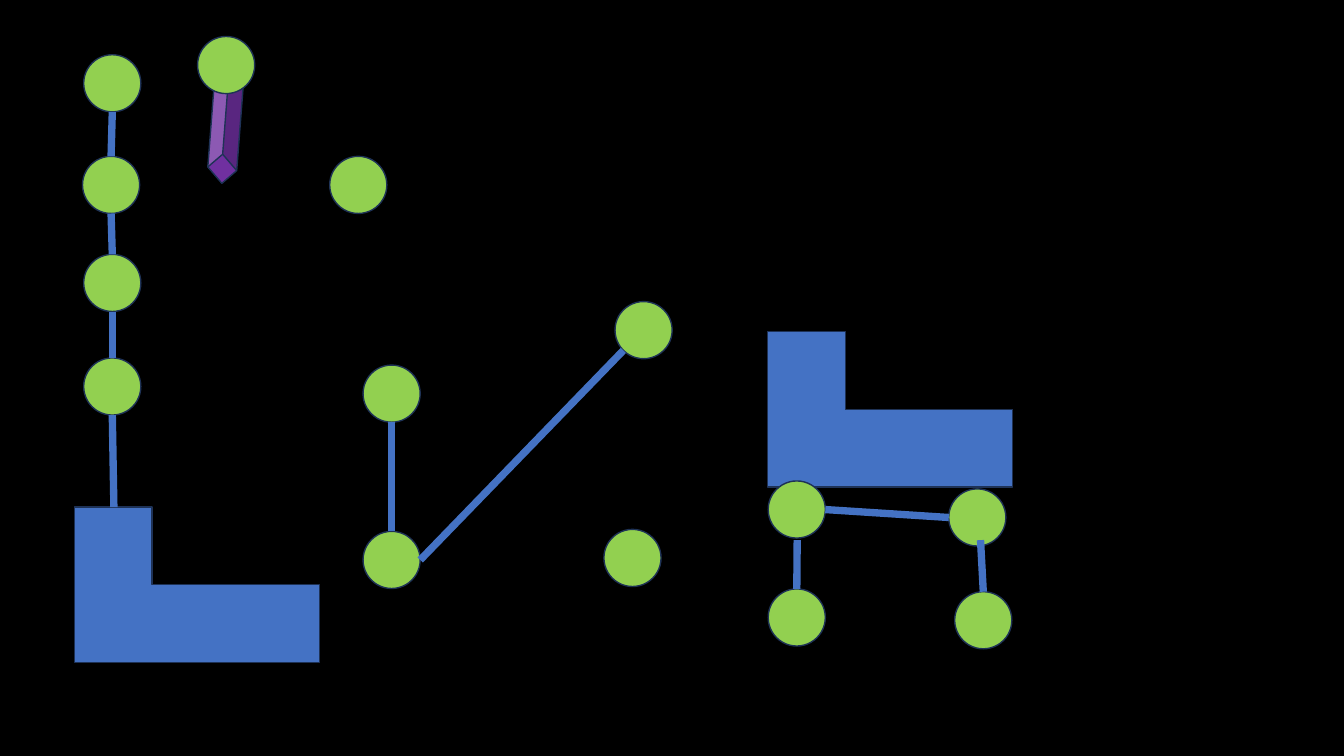
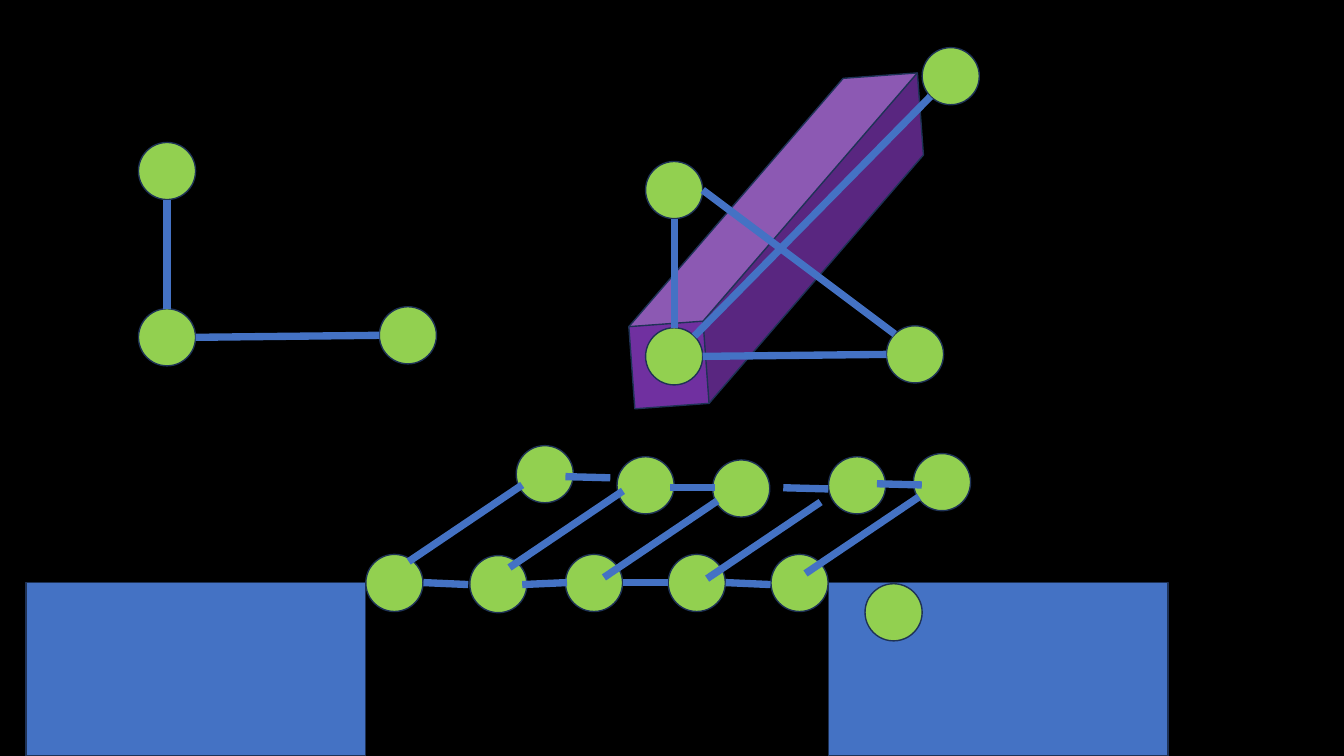
"""Two slides of ball-and-stick constructions on black."""
from dataclasses import dataclass
from typing import Any

from lxml import etree
from pptx import Presentation
from pptx import util as u
from pptx.dml import color
from pptx.enum import shapes
from pptx.oxml import ns


@dataclass(frozen=True)
class Theme:
    """Colours, line widths in points and node radius in centimetres."""
    background: str = "000000"
    node: str = "92D050"
    block: str = "4472C4"
    beam: str = "7030A0"
    outline: str = "1E3256"
    outline_width: float = 1
    link_width: float = 5.25
    radius: float = 0.72


THEME = Theme()
TOP, RIGHT, BOTTOM, LEFT = (0, -1), (1, 0), (0, 1), (-1, 0)
DIAGONAL = 0.71
TOP_LEFT, TOP_RIGHT = (-DIAGONAL, -DIAGONAL), (DIAGONAL, -DIAGONAL)
BOTTOM_LEFT = (-DIAGONAL, DIAGONAL)
CORNER_SIZE = (6.17, 3.91)


def rim(centre, side):
    """Return the point on the edge of a node in the given direction."""
    return tuple(c + THEME.radius * s for c, s in zip(centre, side))


@dataclass
class Region:
    """Draw parts in centimetres relative to a left and top on a slide."""
    slide: Any
    left: float
    top: float

    def place(self, point):
        """Turn a local point into slide lengths."""
        return u.Cm(self.left + point[0]), u.Cm(self.top + point[1])

    def solid(self, kind, corner, size, fill):
        """Add an outlined preset shape."""
        shape = self.slide.shapes.add_shape(
            kind, *self.place(corner), u.Cm(size[0]), u.Cm(size[1]))
        shape.shadow.inherit = False
        shape.fill.solid()
        shape.fill.fore_color.rgb = color.RGBColor.from_string(fill)
        shape.line.color.rgb = color.RGBColor.from_string(THEME.outline)
        shape.line.width = u.Pt(THEME.outline_width)
        return shape

    def nodes(self, *centres):
        """Add a round node around each centre."""
        for x, y in centres:
            self.solid(shapes.MSO_SHAPE.OVAL,
                       (x - THEME.radius, y - THEME.radius),
                       (2 * THEME.radius, 2 * THEME.radius), THEME.node)

    def link(self, start, end):
        """Add a thick straight link."""
        connector = self.slide.shapes.add_connector(
            shapes.MSO_CONNECTOR.STRAIGHT, *self.place(start), *self.place(end))
        connector.line.color.rgb = color.RGBColor.from_string(THEME.block)
        connector.line.width = u.Pt(THEME.link_width)
        properties = connector._element.spPr
        etree.SubElement(properties, ns.qn("a:effectLst"))

    def corner(self, position):
        """Add an L-shaped block."""
        self.solid(shapes.MSO_SHAPE.CORNER, position, CORNER_SIZE, THEME.block)

    def beam(self, position, size, rotation):
        """Add a long turned cuboid."""
        shape = self.solid(shapes.MSO_SHAPE.CUBE, position, size, THEME.beam)
        shape.adjustments[0] = 0.757
        shape.rotation = rotation


def draw_tower(region):
    """Draw a chain of four nodes standing on a corner block."""
    centres = [(0.95, 0.73), (0.92, 3.29), (0.95, 5.76), (0.95, 8.37)]
    region.nodes(*centres)
    region.corner((0, 11.41))
    for upper, lower in zip(centres, centres[1:]):
        region.link(rim(upper, BOTTOM), rim(lower, TOP))
    region.link(rim(centres[-1], BOTTOM), (0.99, 11.41))


def draw_pendulum(region):
    """Draw a node with a beam hanging from it."""
    region.beam((0, 1.22), (2.03, 2.08), 319.4)
    region.nodes((1.03, 0.73))


def draw_wagon(region):
    """Draw a corner block carried by four linked nodes."""
    front, back = (0.73, 4.48), (5.28, 4.68)
    front_wheel, back_wheel = (0.73, 7.2), (5.43, 7.27)
    region.corner((0, 0))
    region.nodes(front, back, front_wheel, back_wheel)
    region.link((0.74, 5.25), rim(front_wheel, TOP))
    region.link((5.36, 5.25), rim(back_wheel, TOP))
    region.link(rim(back, LEFT), rim(front, RIGHT))


def draw_frame(region, floor=True, far=None, brace=False):
    """Draw three nodes at right angles with optional extra links."""
    upper, base, side = (0.73, 0.73), (0.73, 4.92), (6.8, 4.87)
    region.nodes(upper, base, side)
    region.link(rim(upper, BOTTOM), rim(base, TOP))
    if floor:
        region.link(rim(base, RIGHT), rim(side, LEFT))
    if brace:
        region.link(rim(upper, RIGHT), rim(side, TOP_LEFT))
    if far:
        region.nodes(far)
        start = TOP_RIGHT if floor else RIGHT
        region.link(rim(base, start), rim(far, BOTTOM_LEFT))


def draw_braced_beam(region):
    """Draw a braced frame in front of a long beam."""
    region.beam((-0.56, -1.95), (7.72, 7.92), 355.8)
    draw_frame(region, far=(7.7, -2.14), brace=True)


def draw_bridge(region):
    """Draw two banks joined by a double row of linked nodes."""
    for left in (0, 20.22):
        region.solid(shapes.MSO_SHAPE.RECTANGLE, (left, 3.45), (8.56, 4.37), THEME.block)
    region.nodes((9.28, 3.46), (11.9, 3.49), (14.31, 3.46), (16.9, 3.46), (19.49, 3.46))
    region.nodes((13.07, 0.72), (15.61, 1), (18.02, 1.08), (20.94, 1), (23.08, 0.92))
    region.nodes((21.86, 4.2))
    spans = [(10.01, 3.45, 0.05), (12.5, 3.5, -0.05), (15.04, 3.45, 0),
             (17.63, 3.45, 0.05), (13.59, 0.78, 0.03), (16.23, 1.06, 0),
             (19.08, 1.06, 0.03), (21.44, 0.96, 0.03)]
    for x, y, drop in spans:
        region.link((x, y), (x + 1.13, y + drop))
    crossings = [(12.5, 0.99), (15.04, 1.14), (17.42, 1.39), (20.02, 1.42), (22.5, 1.29)]
    for x, y in crossings:
        region.link((x, y), (x - 2.86, y + 1.93))


def add_slide(presentation):
    """Add a blank slide with the theme background."""
    slide = presentation.slides.add_slide(presentation.slide_layouts[6])
    slide.background.fill.solid()
    slide.background.fill.fore_color.rgb = color.RGBColor.from_string(THEME.background)
    return slide


def build_figures(slide):
    """Fill the slide of separate figures."""
    draw_tower(Region(slide, 1.88, 1.37))
    draw_wagon(Region(slide, 19.35, 8.36))
    draw_pendulum(Region(slide, 4.67, 0.91))
    Region(slide, 8.31, 3.94).nodes((0.72, 0.72))
    draw_frame(Region(slide, 9.14, 9.19), floor=False, far=(7.08, -0.87))


def build_structures(slide):
    """Fill the slide of frames and the bridge."""
    draw_bridge(Region(slide, 0.66, 11.23))
    draw_frame(Region(slide, 3.48, 3.58))
    draw_braced_beam(Region(slide, 16.26, 4.06))


def main():
    """Build and save the presentation."""
    presentation = Presentation()
    presentation.slide_width = u.Cm(33.87)
    presentation.slide_height = u.Cm(19.05)
    for build in (build_figures, build_structures):
        build(add_slide(presentation))
    presentation.save("out.pptx")


if __name__ == "__main__":
    main()
